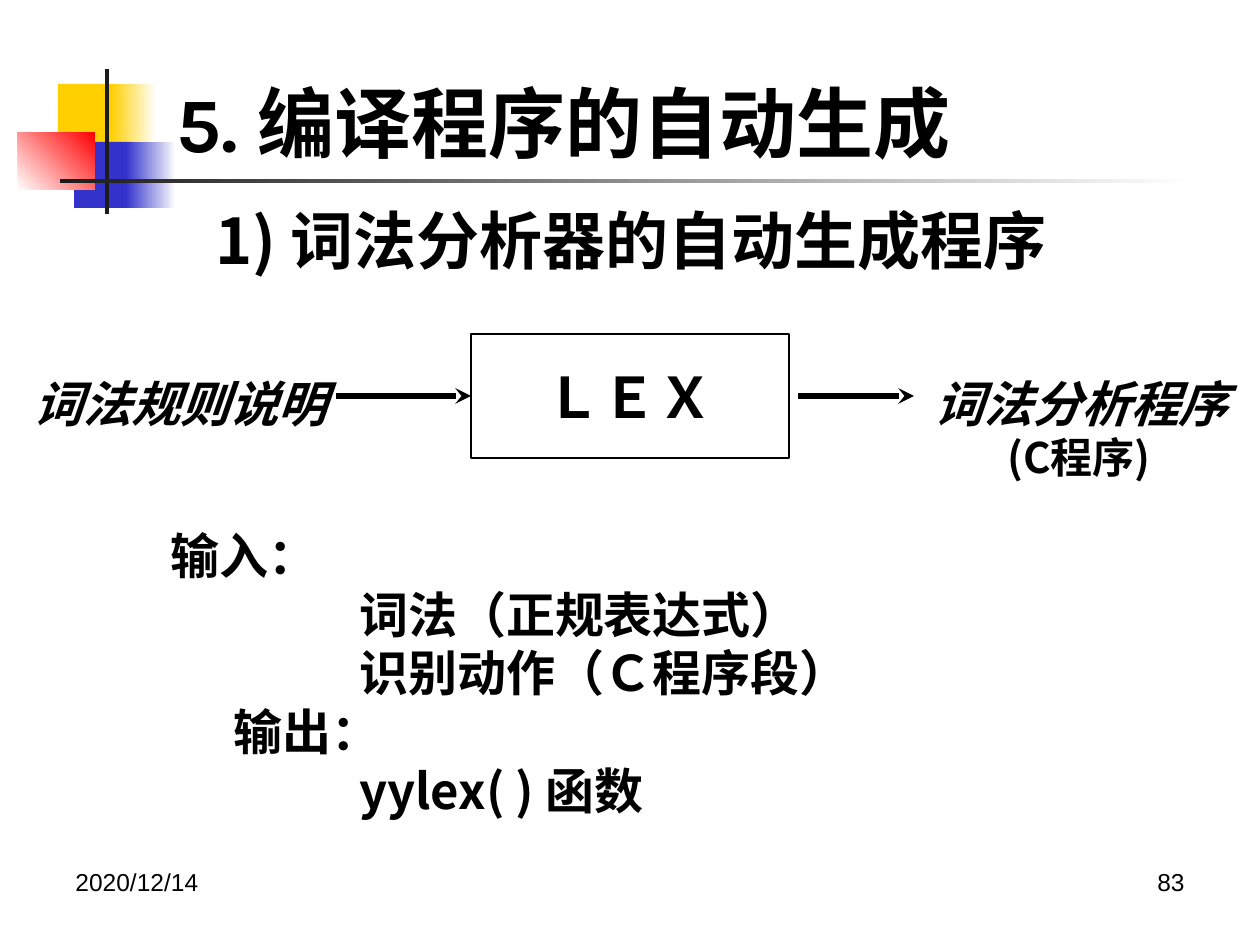
import pptx
import pptx.util
import pptx.dml.color
import pptx.enum.shapes
import pptx.enum.text
import pptx.oxml

PX = 914400 // 126
BLACK = pptx.dml.color.RGBColor(0x00, 0x00, 0x00)
WHITE = pptx.dml.color.RGBColor(0xFF, 0xFF, 0xFF)
YELLOW = pptx.dml.color.RGBColor(0xFF, 0xCF, 0x01)
BLUE = pptx.dml.color.RGBColor(0x33, 0x33, 0xCC)
RED = pptx.dml.color.RGBColor(0xFF, 0x00, 0x00)
DARK = pptx.dml.color.RGBColor(0x1C, 0x1C, 0x1C)
SANS, SERIF = "Noto Sans CJK SC", "Times New Roman"
LEFT = pptx.enum.text.PP_ALIGN.LEFT
CENTER = pptx.enum.text.PP_ALIGN.CENTER
RIGHT = pptx.enum.text.PP_ALIGN.RIGHT
MIDDLE = pptx.enum.text.MSO_ANCHOR.MIDDLE
TOP = pptx.enum.text.MSO_ANCHOR.TOP

# Content: box in px, colours (two make a gradient), gradient angle
DECORATION = [
    ((58, 84, 60, 66), (YELLOW,), 0),
    ((111, 84, 45, 66), (YELLOW, WHITE), 0),
    ((74, 142, 58, 66), (BLUE,), 0),
    ((126, 142, 50, 66), (BLUE, WHITE), 0),
    ((18, 132, 77, 58), (WHITE, RED), 45),
    ((105, 69, 4, 145), (DARK,), 0),
    ((60, 179, 1134, 4), (DARK, WHITE), 0),
]
TITLE = "5. 编译程序的自动生成"
SUBTITLE = "1) 词法分析器的自动生成程序"
# Labels: text, box, font, size, bold, italic, alignment
LABELS = [
    ("词法规则说明", (21, 367, 433, 72), SERIF, 28, True, True, LEFT),
    ("词法分析程序", (922, 367, 338, 72), SERIF, 28, True, True, LEFT),
    ("(C程序)", (995, 425, 210, 63), SANS, 24, True, False, LEFT),
    ("2020/12/14", (63, 861, 294, 66), "Arial", 14, False, False, LEFT),
    ("83", (903, 861, 294, 66), "Arial", 14, False, False, RIGHT),
]
# Details: text, left indent in px
DETAILS = [
    ("输入：", 0),
    ("词法（正规表达式）", 189),
    ("识别动作（Ｃ程序段）", 189),
    ("输出：", 63),
    ("yylex( ) 函数", 189),
]


def scaled(box):
    return [value * PX for value in box]


def add_run(paragraph, text, font_name, size, bold=True, italic=False):
    run = paragraph.add_run()
    run.text = text
    font = run.font
    font.name, font.size = font_name, pptx.util.Pt(size)
    font.bold, font.italic = bold, italic
    font.color.rgb = BLACK
    east_asian = pptx.oxml.parse_xml(
        f'<a:ea xmlns:a="{run._r.nsmap["a"]}" typeface="{SANS}"/>')
    run._r.rPr.find("{*}latin").addnext(east_asian)


def set_indent(paragraph, left, first=0):
    properties = paragraph._p.get_or_add_pPr()
    properties.set("marL", str(left * PX))
    properties.set("indent", str(first * PX))
    return properties


def place(shape, box, anchor):
    shape.left, shape.top, shape.width, shape.height = scaled(box)
    frame = shape.text_frame
    frame.word_wrap = True
    frame.auto_size = pptx.enum.text.MSO_AUTO_SIZE.NONE
    frame.vertical_anchor = anchor
    paragraph = frame.paragraphs[0]
    paragraph.alignment = LEFT
    paragraph.space_before = pptx.util.Pt(0)
    return paragraph


def add_rectangle(slide, box):
    shape = slide.shapes.add_shape(
        pptx.enum.shapes.MSO_SHAPE.RECTANGLE, *scaled(box))
    shape.shadow.inherit = False
    return shape


def add_arrow(slide, start, end, y):
    arrow = slide.shapes.add_connector(
        pptx.enum.shapes.MSO_CONNECTOR.STRAIGHT, *scaled((start, y, end, y)))
    arrow.line.color.rgb = BLACK
    arrow.line.width = pptx.util.Pt(3)
    properties = arrow._element.spPr
    namespace = properties.nsmap["a"]
    arrow.line._get_or_add_ln().append(pptx.oxml.parse_xml(
        f'<a:tailEnd xmlns:a="{namespace}" type="stealth"/>'))
    properties.append(pptx.oxml.parse_xml(
        f'<a:effectLst xmlns:a="{namespace}"/>'))
    return arrow


def main():
    presentation = pptx.Presentation()
    presentation.slide_width = pptx.util.Inches(10)
    presentation.slide_height = pptx.util.Inches(7.5)
    slide = presentation.slides.add_slide(presentation.slide_layouts[1])

    # Corner decoration and rule
    for box, colors, angle in DECORATION:
        shape = add_rectangle(slide, box)
        shape.line.fill.background()
        if len(colors) == 1:
            shape.fill.solid()
            shape.fill.fore_color.rgb = colors[0]
        else:
            shape.fill.gradient()
            shape.fill.gradient_angle = angle
            for stop, color in zip(shape.fill.gradient_stops, colors):
                stop.color.rgb = color

    # Title and subtitle
    paragraph = place(slide.shapes.title, (164, 78, 970, 87), MIDDLE)
    add_run(paragraph, TITLE, "Karla", 44)
    paragraph = place(slide.placeholders[1], (203, 195, 902, 95), TOP)
    properties = set_indent(paragraph, 48, -48)
    properties.append(pptx.oxml.parse_xml(
        f'<a:buNone xmlns:a="{properties.nsmap["a"]}"/>'))
    add_run(paragraph, SUBTITLE, SANS, 36)

    # Generator box with its arrows
    generator = add_rectangle(slide, (471, 334, 318, 124))
    generator.fill.background()
    generator.line.color.rgb = BLACK
    generator.line.width = pptx.util.Pt(1)
    generator.text_frame.word_wrap = False
    generator.text_frame.vertical_anchor = MIDDLE
    paragraph = generator.text_frame.paragraphs[0]
    paragraph.alignment = CENTER
    add_run(paragraph, "ＬＥＸ", SERIF, 32)
    add_arrow(slide, 336, 471, 396).end_connect(generator, 1)
    add_arrow(slide, 798, 914, 396)

    # Labels, date and page number
    for text, box, font_name, size, bold, italic, alignment in LABELS:
        label = slide.shapes.add_textbox(*scaled(box))
        label.text_frame.word_wrap = True
        paragraph = label.text_frame.paragraphs[0]
        paragraph.alignment = alignment
        add_run(paragraph, text, font_name, size, bold, italic)

    # Input and output details
    details = slide.shapes.add_textbox(*scaled((158, 519, 758, 307)))
    frame = details.text_frame
    frame.word_wrap = True
    for index, (text, indent) in enumerate(DETAILS):
        paragraph = frame.add_paragraph() if index else frame.paragraphs[0]
        set_indent(paragraph, indent)
        add_run(paragraph, text, SANS, 28)

    presentation.save("out.pptx")


if __name__ == "__main__":
    main()
